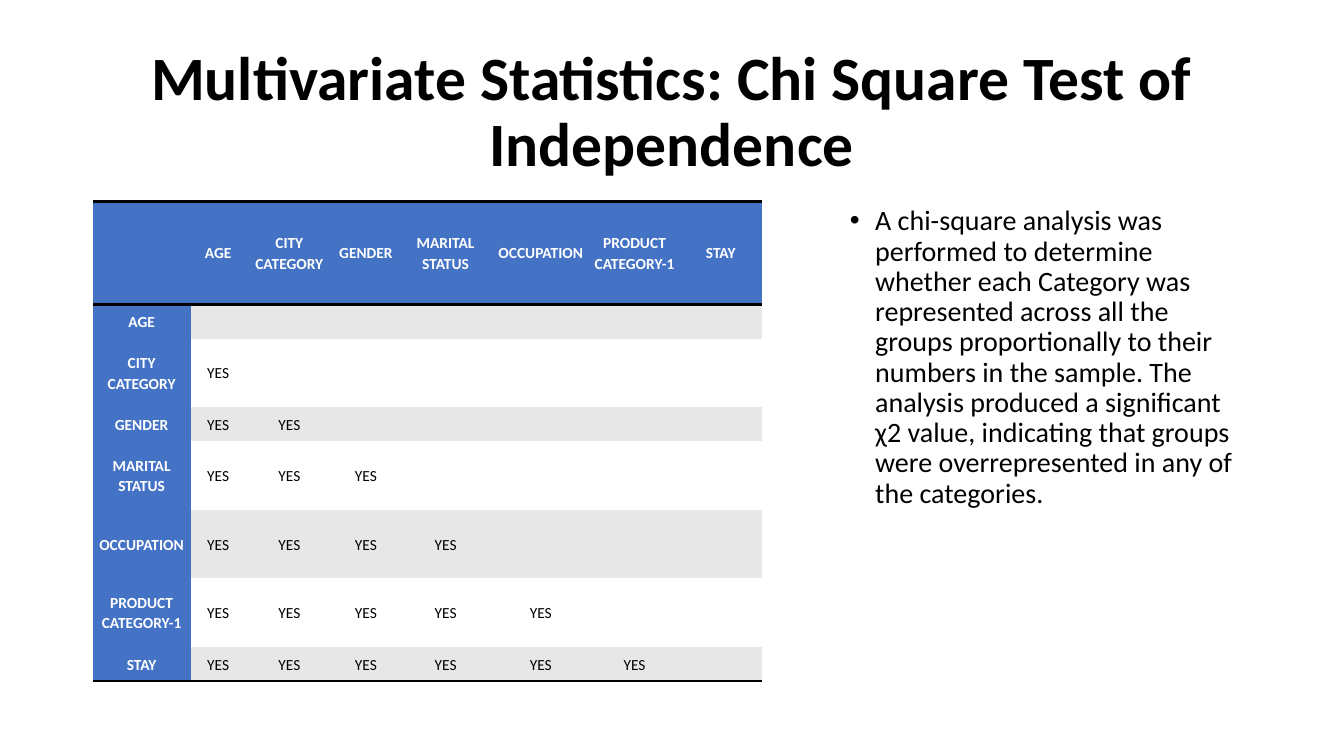
from pptx import Presentation
from pptx.dml.color import RGBColor
from pptx.enum.text import MSO_ANCHOR, MSO_AUTO_SIZE, PP_ALIGN
from pptx.oxml import parse_xml
from pptx.oxml.ns import nsdecls
from pptx.util import Inches, Pt

BLACK = RGBColor(0x00, 0x00, 0x00)
WHITE = RGBColor(0xFF, 0xFF, 0xFF)
BLUE = RGBColor(0x44, 0x72, 0xC4)
GREY = RGBColor(0xE7, 0xE7, 0xE7)
NO_GRID_STYLE = "{2D5ABB26-0587-4C30-8999-92F81FD0307C}"

MARGIN = Inches(0.92)
CONTENT_TOP = Inches(2)
ROW_UNIT = Inches(0.34)
ROW_UNITS = [3, 1, 2, 1, 2, 2, 2, 1]
COLUMN_WIDTHS = [Inches(w) for w in (0.97, 0.55, 0.86, 0.66, 0.92, 0.97, 0.89, 0.82)]
CONTENT_HEIGHT = ROW_UNIT * sum(ROW_UNITS)

VARIABLES = ["AGE", "CITY CATEGORY", "GENDER", "MARITAL STATUS",
             "OCCUPATION", "PRODUCT CATEGORY-1", "STAY"]
FINDING = (
    "A chi-square analysis was performed to determine whether each Category was "
    "represented across all the groups proportionally to their numbers in the sample. "
    "The analysis produced a significant χ2 value, indicating that groups were "
    "overrepresented in any of the categories."
)

CELL_FORMAT = {
    "vertical_anchor": MSO_ANCHOR.MIDDLE,
    "margin_left": Inches(0.04), "margin_right": Inches(0.04),
    "margin_top": 0, "margin_bottom": 0,
}


def write(paragraph, text, size, color, bold, **layout):
    for name, value in layout.items():
        setattr(paragraph, name, value)
    if text:
        run = paragraph.add_run()
        run.text = text
        for name, value in {"name": "Calibri", "size": Pt(size), "bold": bold}.items():
            setattr(run.font, name, value)
        run.font.color.rgb = color


def rule(cell, side):
    cell._tc.get_or_add_tcPr().insert(0, parse_xml(
        f'<a:{side} {nsdecls("a")} w="{Pt(2)}"><a:solidFill>'
        f'<a:srgbClr val="{BLACK}"/></a:solidFill></a:{side}>'))


deck = Presentation()
deck.slide_width, deck.slide_height = Inches(13.33), Inches(7.5)
slide = deck.slides.add_slide(deck.slide_layouts[1])
title, finding = slide.placeholders

finding_width = Inches(4.08)
places = [
    (title, MARGIN, Inches(0.4), deck.slide_width - 2 * MARGIN, Inches(1.45)),
    (finding, deck.slide_width - MARGIN - finding_width, CONTENT_TOP,
     finding_width, CONTENT_HEIGHT),
]
for part, *box in places:
    for name, value in zip(("left", "top", "width", "height"), box):
        setattr(part, name, value)
    part.text_frame.auto_size = MSO_AUTO_SIZE.NONE

title.text_frame.vertical_anchor = MSO_ANCHOR.MIDDLE
write(title.text_frame.paragraphs[0],
      "Multivariate Statistics: Chi Square Test of Independence",
      44, BLACK, True, alignment=PP_ALIGN.CENTER, line_spacing=0.9)

finding_line = finding.text_frame.paragraphs[0]
write(finding_line, FINDING, 20, BLACK, False, line_spacing=0.9, space_before=Pt(10))
indent = {"marL": Inches(0.25), "indent": -Inches(0.25)}
for name, value in indent.items():
    finding_line._p.get_or_add_pPr().set(name, str(value))

matrix = slide.shapes.add_table(
    len(ROW_UNITS), len(COLUMN_WIDTHS), MARGIN, CONTENT_TOP,
    sum(COLUMN_WIDTHS), CONTENT_HEIGHT).table
matrix._tbl.tblPr.xpath("a:tableStyleId")[0].text = NO_GRID_STYLE
matrix.horz_banding = False
for column, width in zip(matrix.columns, COLUMN_WIDTHS):
    column.width = width

headings = [""] + VARIABLES
last_row = len(ROW_UNITS) - 1
for r, units in enumerate(ROW_UNITS):
    matrix.rows[r].height = ROW_UNIT * units
    for c, heading in enumerate(headings):
        cell = matrix.cell(r, c)
        for name, value in CELL_FORMAT.items():
            setattr(cell, name, value)
        is_heading = r == 0 or c == 0
        if is_heading:
            text, fill = headings[r + c], BLUE
        else:
            text, fill = "YES" if c < r else "", GREY if r % 2 else WHITE
        cell.fill.solid()
        cell.fill.fore_color.rgb = fill
        write(cell.text_frame.paragraphs[0], text, 11,
              WHITE if is_heading else BLACK, is_heading,
              alignment=PP_ALIGN.CENTER, line_spacing=1.07)
        if r in (0, last_row):
            rule(cell, "lnB")
        if r == 0:
            rule(cell, "lnT")

deck.save("out.pptx")
